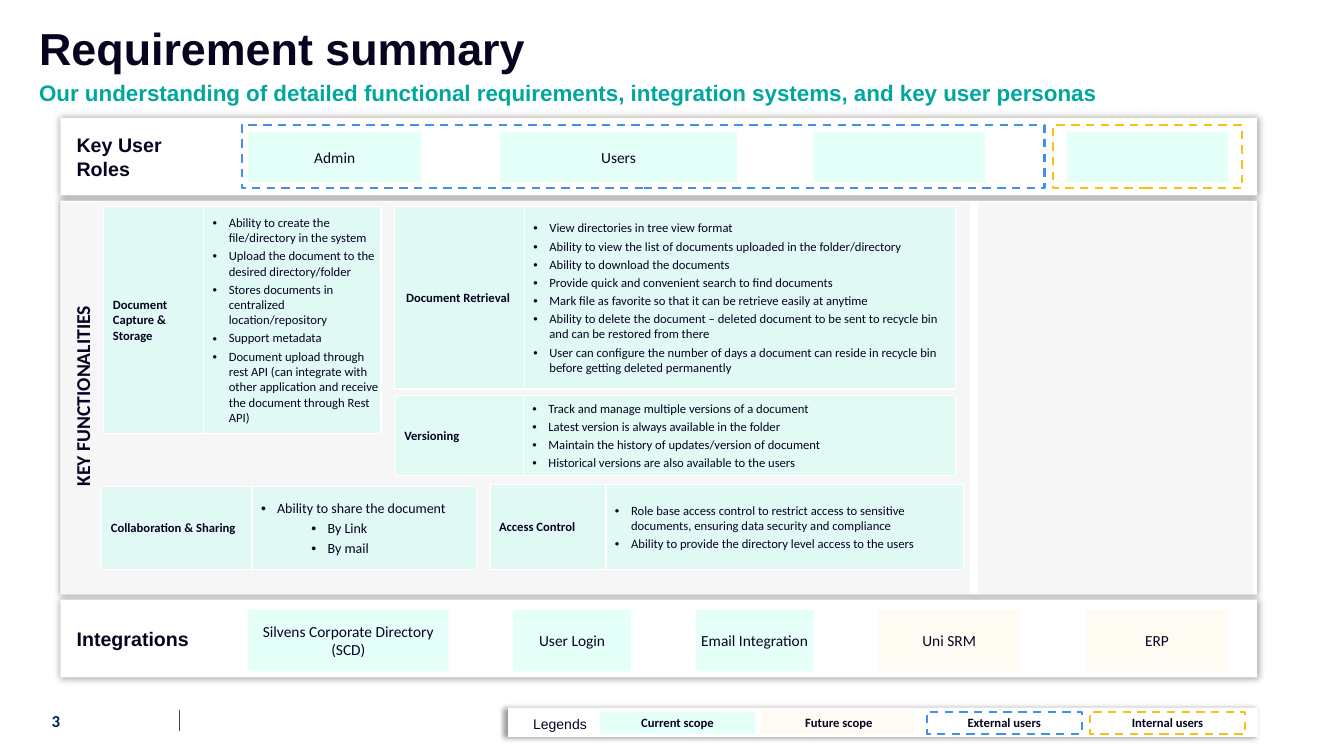
from dataclasses import dataclass
from lxml.etree import SubElement as Sub
from pptx import Presentation
from pptx.dml.color import RGBColor as RGB
from pptx.enum.dml import MSO_LINE as Dash
from pptx.enum.shapes import MSO_CONNECTOR as Conn, MSO_SHAPE as Form
from pptx.enum.text import MSO_ANCHOR as Anchor, PP_ALIGN as Align
from pptx.oxml.ns import qn
from pptx.util import Pt

SCALE = 9144


@dataclass(frozen=True)
class Theme:
    """Colours as (hex, opacity %), fonts and type sizes."""
    ink: str = "060320"
    head: str = "06041F"
    teal: str = "00A79D"
    navy: str = "002060"
    rule: str = "3F4956"
    white: tuple = ("FFFFFF", 100)
    now: tuple = ("C5FFF2", 43)
    later: tuple = ("FEF7E3", 43)
    mint: tuple = ("E1FAF4", 100)
    grey: tuple = ("F2F2F2", 68)
    outer: str = "4190E9"
    inner: str = "F9C018"
    sans: str = "Arial"
    body: str = "Calibri"
    title: int = 32
    sub: int = 16
    label: int = 14
    page: int = 12
    chip: int = 11
    note: int = 10
    small: int = 9


T = Theme()


def px(*nums):
    """Turn px lengths into EMU."""
    return [round(n * SCALE) for n in nums]


def put(item, fmt):
    """Set each format value on the item."""
    for name, value in fmt.items():
        setattr(item, name, value)


def paint(item, host, tone):
    """Fill an item with a colour and its opacity."""
    item.fill.solid()
    item.fill.fore_color.rgb = RGB.from_string(tone[0])
    if tone[1] < 100:
        clr = host.find(qn("a:solidFill")).find(qn("a:srgbClr"))
        Sub(clr, qn("a:alpha"), val=str(tone[1] * 1000))


def say(frame, lines, size, font=T.body, color=T.ink, bold=False, pads=(10, 5, 10, 5),
        anchor=Anchor.MIDDLE, **para):
    """Write styled paragraphs into a text frame."""
    left, top, right, low = px(*pads)
    put(frame, dict(word_wrap=True, vertical_anchor=anchor, margin_left=left,
                    margin_top=top, margin_right=right, margin_bottom=low))
    for i, line in enumerate(lines):
        par = frame.add_paragraph() if i else frame.paragraphs[0]
        put(par, para)
        run = par.add_run()
        run.text = line
        put(run.font, dict(size=Pt(size), name=font, bold=bold))
        run.font.color.rgb = RGB.from_string(color)


def note(slide, box, lines, size, **fmt):
    """Add a text box."""
    shape = slide.shapes.add_textbox(*px(*box))
    say(shape.text_frame, lines, size, **fmt)
    return shape


def block(slide, box, tone=None, edge=None):
    """Add a plain or dashed rectangle."""
    shape = slide.shapes.add_shape(Form.RECTANGLE, *px(*box))
    shape.shadow.inherit = False
    if tone:
        paint(shape, shape._element.spPr, tone)
    else:
        shape.fill.background()
    if edge:
        put(shape.line, dict(width=Pt(1.5), dash_style=Dash.DASH))
        shape.line.color.rgb = RGB.from_string(edge)
    else:
        shape.line.fill.background()
    return shape


def card(slide, box, lines=(), blur=5, dist=0, angle=0):
    """Add a white panel with a soft shadow and a heading."""
    shape = block(slide, box, T.white)
    host = shape._element.spPr.find(qn("a:effectLst"))
    glow = Sub(host, qn("a:outerShdw"), blurRad=str(Pt(blur)), dist=str(Pt(dist)),
               dir=str(angle * 60000), algn="ctr", rotWithShape="0")
    Sub(Sub(glow, qn("a:srgbClr"), val="000000"), qn("a:alpha"), val="40000")
    if lines:
        say(shape.text_frame, lines, T.label, T.sans, bold=True, pads=(16, 4, 4, 4),
            alignment=Align.LEFT)


def chips(slide, box, items, size=T.chip, bold=False):
    """Place a row of labelled chips along a band."""
    x, y, _, h = box
    for text, left, width, tone, edge in items:
        shape = block(slide, (x + left, y, width, h), tone, edge)
        if text:
            say(shape.text_frame, [text], size, bold=bold, pads=(4, 4, 4, 4),
                alignment=Align.CENTER)


def dot(par, left):
    """Give a paragraph a hanging bullet."""
    prop = par._p.get_or_add_pPr()
    prop.set("marL", str(px(left)[0]))
    prop.set("indent", str(px(-16)[0]))
    Sub(prop, qn("a:buFont"), typeface=T.sans)
    Sub(prop, qn("a:buChar"), char="•")


def trim(cell, tone):
    """Fill a cell and rule its four sides in white."""
    prop = cell._tc.get_or_add_tcPr()
    paint(cell, prop, tone)
    for i, side in enumerate("LRTB"):
        line = Sub(prop, qn("a:ln" + side), w=str(Pt(1)))
        Sub(Sub(line, qn("a:solidFill")), qn("a:srgbClr"), val=T.white[0])
        prop.insert(i, line)


def feature(slide, box, split, name, points, tone=T.now, size=T.small, subs=()):
    """Add a two-cell table: a name and its bullet points."""
    grid = slide.shapes.add_table(1, 2, *px(*box)).table
    put(grid, dict(first_row=False, horz_banding=False))
    for col, width in zip(grid.columns, px(split, box[2] - split)):
        col.width = width
    for cell in grid.rows[0].cells:
        cell.vertical_anchor = Anchor.MIDDLE
        trim(cell, tone)
    head, body = grid.rows[0].cells
    for cell, left in ((head, 9), (body, 9)):
        put(cell, dict(zip(("margin_left", "margin_top", "margin_right", "margin_bottom"),
                           px(left, 1, 1, 0))))
    pads = dict(pads=(9, 1, 1, 0))
    say(head.text_frame, [name], T.small, bold=True, **pads)
    say(body.text_frame, [*points, *subs], size, space_after=Pt(2), **pads)
    for i, par in enumerate(body.text_frame.paragraphs):
        deep = i >= len(points)
        par.level = int(deep)
        dot(par, 66 if deep else 16)


def header(slide, box):
    """Place the title and subtitle."""
    x, y, w, _ = box
    fmt = dict(font=T.sans, bold=True, line_spacing=0.9, space_before=Pt(10))
    note(slide, (x, y + 55, w, 37), ["Our understanding of detailed functional requirements, "
         "integration systems, and key user personas"], T.sub, color=T.teal, **fmt)
    note(slide, (x, y, w, 62), ["Requirement summary"], T.title, color=T.head,
         pads=(10, 0, 10, 0), **fmt)


def roles(slide, box):
    """Place the user roles, framed by user type."""
    x, y, w, _ = box
    card(slide, box, ["Key User", "Roles"])
    chips(slide, (x, y + 14, w, 50), [
        ("Admin", 186, 172, T.now, None), ("Users", 436, 235, T.now, None),
        ("", 747, 170, T.now, None), ("", 998, 160, T.now, None)])
    chips(slide, (x, y + 7, w, 63), [
        ("", 180, 796, None, T.outer), ("", 984, 188, None, T.inner)])


def features(slide, box):
    """Place the key functionalities and their tables."""
    x, y, w, h = box
    card(slide, box)
    for left, width in ((0, 902), (910, 273)):
        block(slide, (x + left, y + 1, width, h - 2), T.grey)
    side = note(slide, (x - 107, y + 177, 258, 34), ["KEY FUNCTIONALITIES"], T.label,
                bold=True, anchor=Anchor.TOP, alignment=Align.CENTER)
    side.rotation = 270
    feature(slide, (x + 43, y + 6, 275, 225), 99, "Document Capture & Storage", [
        "Ability to create the file/directory in the system",
        "Upload the document to the desired directory/folder",
        "Stores documents in centralized location/repository",
        "Support metadata",
        "Document upload through rest API (can integrate with other application "
        "and receive the document through Rest API)"])
    feature(slide, (x + 332, y + 193, 556, 80), 127, "Versioning", [
        "Track and manage multiple versions of a document",
        "Latest version is always available in the folder",
        "Maintain the history of updates/version of document",
        "Historical versions are also available to the users"], T.mint)
    feature(slide, (x + 331, y + 6, 557, 181), 129, " Document Retrieval", [
        "View directories in tree view format",
        "Ability to view the list of documents uploaded in the folder/directory",
        "Ability to download the documents",
        "Provide quick and convenient search to find documents",
        "Mark file as favorite so that it can be retrieve easily at anytime",
        "Ability to delete the document – deleted document to be sent to recycle bin "
        "and can be restored from there",
        "User can configure the number of days a document can reside in recycle bin "
        "before getting deleted permanently"])
    feature(slide, (x + 41, y + 284, 372, 82), 149, "Collaboration & Sharing",
            ["Ability to share the document"], size=T.note, subs=["By Link", "By mail"])
    feature(slide, (x + 426, y + 282, 470, 84), 115, "Access Control", [
        "Role base access control to restrict access to sensitive documents, "
        "ensuring data security and compliance",
        "Ability to provide the directory level access to the users"])


def links(slide, box):
    """Place the systems to integrate with."""
    x, y, w, _ = box
    card(slide, box, ["Integrations"])
    chips(slide, (x, y + 10, w, 61), [
        ("Silvens Corporate Directory (SCD)", 186, 199, T.now, None),
        ("User Login", 449, 117, T.now, None), ("Email Integration", 630, 117, T.now, None),
        ("Uni SRM", 811, 141, T.later, None), ("ERP", 1017, 141, T.later, None)])


def legend(slide, box):
    """Place the colour key."""
    x, y, w, _ = box
    card(slide, box, blur=4, dist=3, angle=180)
    note(slide, (x + 15, y + 3, 76, 27), ["Legends"], T.note, font=T.sans, anchor=Anchor.TOP)
    chips(slide, (x, y + 4, w, 22), [
        ("Current scope", 91, 154, T.now, None), ("Future scope", 251, 154, T.later, None),
        ("External users", 415, 154, None, T.outer),
        ("Internal users", 577, 154, None, T.inner)], T.small, True)


def footer(slide, box):
    """Place the page number and its rule."""
    x, y, _, h = box
    note(slide, (x, y, 53, h), ["3"], T.page, color=T.navy, bold=True, alignment=Align.CENTER)
    line = slide.shapes.add_connector(Conn.STRAIGHT, *px(x + 149, y + 9, x + 149, y + 30))
    line.line.width = Pt(0.5)
    line.line.color.rgb = RGB.from_string(T.rule)
    Sub(line._element.spPr, qn("a:effectLst"))


def main():
    """Build and save the slide."""
    deck = Presentation()
    wide, high = px(1333, 750)
    put(deck, dict(slide_width=wide, slide_height=high))
    slide = deck.slides.add_slide(deck.slide_layouts[6])
    header(slide, (29, 20, 1276, 92))
    roles(slide, (60, 117, 1187, 77))
    features(slide, (60, 199, 1187, 391))
    links(slide, (60, 595, 1187, 77))
    legend(slide, (504, 702, 744, 29))
    footer(slide, (29, 695, 150, 40))
    deck.save("out.pptx")


if __name__ == "__main__":
    main()
